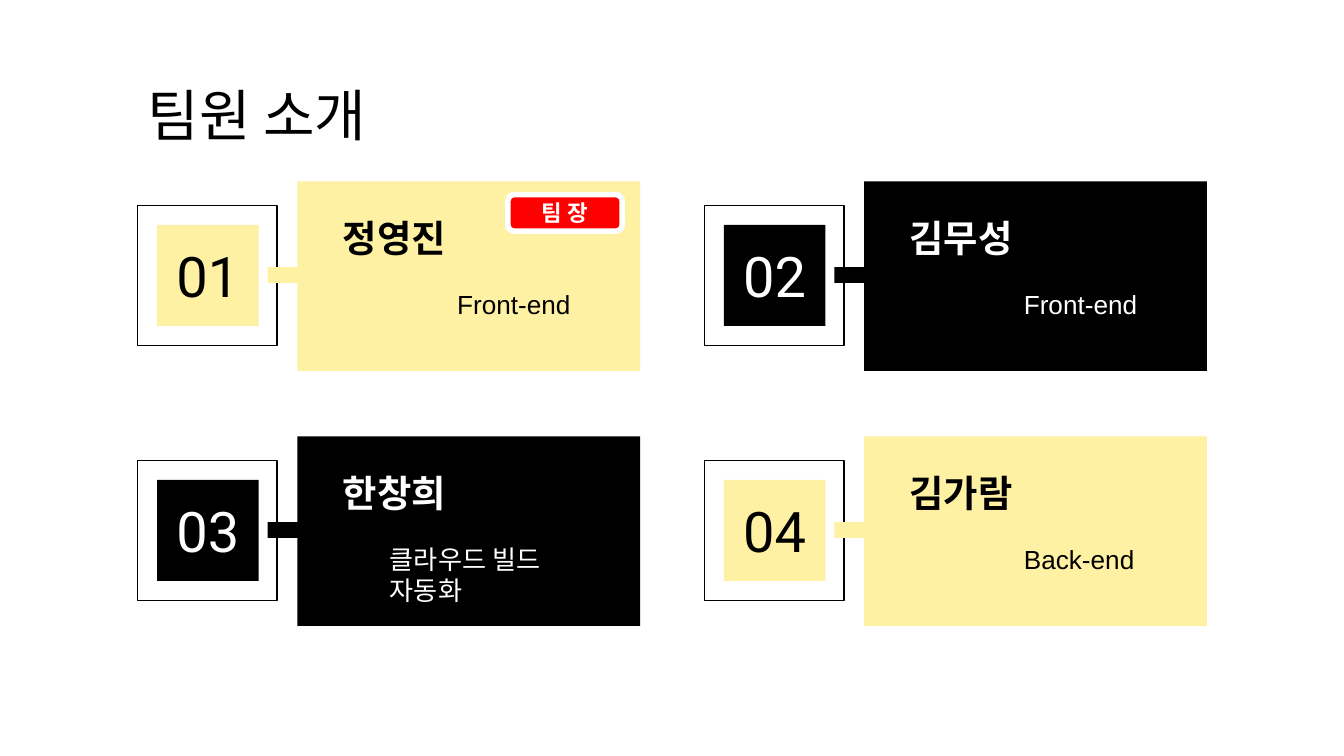
from dataclasses import dataclass

from lxml.etree import SubElement
from pptx import Presentation
from pptx.dml.color import RGBColor
from pptx.enum.shapes import MSO_SHAPE
from pptx.enum.text import MSO_ANCHOR, MSO_AUTO_SIZE, PP_ALIGN
from pptx.oxml.ns import qn
from pptx.shapes.autoshape import Shape
from pptx.slide import Slide
from pptx.util import Cm, Pt

BLACK, WHITE, YELLOW, RED = "000000", "FFFFFF", "FFF1A3", "FF0000"
KOREAN = "Noto Sans CJK KR"

# Grid of member cards, in centimetres
LEFT, TOP = 2.6, 3.89
COLUMN_STEP, ROW_STEP = 10.71, 4.82
ROLE_RIGHT = 9.3


@dataclass
class Member:
    name: str
    role: str
    fill: str
    ink: str
    role_width: float = 3.51


MEMBERS = [
    Member("정영진", "Front-end", YELLOW, BLACK),
    Member("김무성", "Front-end", BLACK, WHITE),
    Member("한창희", "클라우드 빌드 자동화", BLACK, WHITE, role_width=4.78),
    Member("김가람", "Back-end", YELLOW, BLACK),
]


def color(value: str) -> RGBColor:
    return RGBColor.from_string(value)


def write(box: Shape, text: str, *, size: float, font: str, ink: str,
          bold: bool = False, align: PP_ALIGN = PP_ALIGN.LEFT,
          anchor: MSO_ANCHOR = MSO_ANCHOR.MIDDLE) -> None:
    """Put one formatted line of text in a box."""
    frame = box.text_frame
    frame.word_wrap = True
    frame.auto_size = MSO_AUTO_SIZE.NONE
    frame.vertical_anchor = anchor
    frame.margin_left = frame.margin_right = Cm(0.25)
    frame.margin_top = frame.margin_bottom = Cm(0.25)
    para = frame.paragraphs[0]
    para.alignment = align
    span = para.add_run()
    span.text = text
    span.font.size = Pt(size)
    span.font.bold = bold
    span.font.color.rgb = color(ink)
    span.font.name = font
    SubElement(span.font._element, qn("a:ea"), typeface=KOREAN)


def add_block(page: Slide, left: float, top: float, width: float, height: float,
              *, fill: str = "", line: str = "", line_width: float = 0.75,
              kind: MSO_SHAPE = MSO_SHAPE.RECTANGLE) -> Shape:
    block = page.shapes.add_shape(kind, Cm(left), Cm(top), Cm(width), Cm(height))
    block.shadow.inherit = False
    if fill:
        block.fill.solid()
        block.fill.fore_color.rgb = color(fill)
    else:
        block.fill.background()
    if line:
        block.line.color.rgb = color(line)
        block.line.width = Pt(line_width)
    else:
        block.line.fill.background()
    return block


def add_label(page: Slide, left: float, top: float, width: float,
              height: float) -> Shape:
    return page.shapes.add_textbox(Cm(left), Cm(top), Cm(width), Cm(height))


def add_member(page: Slide, index: int, member: Member) -> None:
    row, column = divmod(index, 2)
    left, top = LEFT + column * COLUMN_STEP, TOP + row * ROW_STEP

    # Outline, tab and card
    add_block(page, left, top, 2.64, 2.64, line=BLACK)
    add_block(page, left + 2.46, top + 1.16, 0.58, 0.3, fill=member.fill)
    add_block(page, left + 3.02, top - 0.46, 6.48, 3.58, fill=member.fill)

    # Number, name and role
    number = add_block(page, left + 0.37, top + 0.36, 1.92, 1.91, fill=member.fill)
    write(number, f"{index + 1:02}", size=30, font="Roboto", ink=member.ink,
          align=PP_ALIGN.CENTER)
    name = add_label(page, left + 3.63, top - 0.1, 5.66, 1.42)
    write(name, member.name, size=20, font=KOREAN, ink=member.ink, bold=True)
    role = add_label(page, left + ROLE_RIGHT - member.role_width, top + 1.31,
                     member.role_width, 1.19)
    write(role, member.role, size=14, font="Arial", ink=member.ink,
          anchor=MSO_ANCHOR.TOP)


def main() -> None:
    deck = Presentation()
    deck.slide_width, deck.slide_height = Cm(25.4), Cm(14.29)
    page = deck.slides.add_slide(deck.slide_layouts[5])

    # Title
    title = page.shapes.title
    title.left, title.top = Cm(2.54), Cm(1.5)
    title.width, title.height = Cm(20.85), Cm(1.32)
    write(title, "팀원 소개", size=30, font="Roboto", ink=BLACK)

    # Team members
    for index, member in enumerate(MEMBERS):
        add_member(page, index, member)

    # Leader badge
    badge = add_block(page, 9.6, 3.68, 2.16, 0.69, fill=RED, line=WHITE,
                      line_width=3, kind=MSO_SHAPE.ROUNDED_RECTANGLE)
    write(badge, "팀 장", size=12, font=KOREAN, ink=WHITE, bold=True,
          align=PP_ALIGN.CENTER)

    deck.save("out.pptx")


if __name__ == "__main__":
    main()
